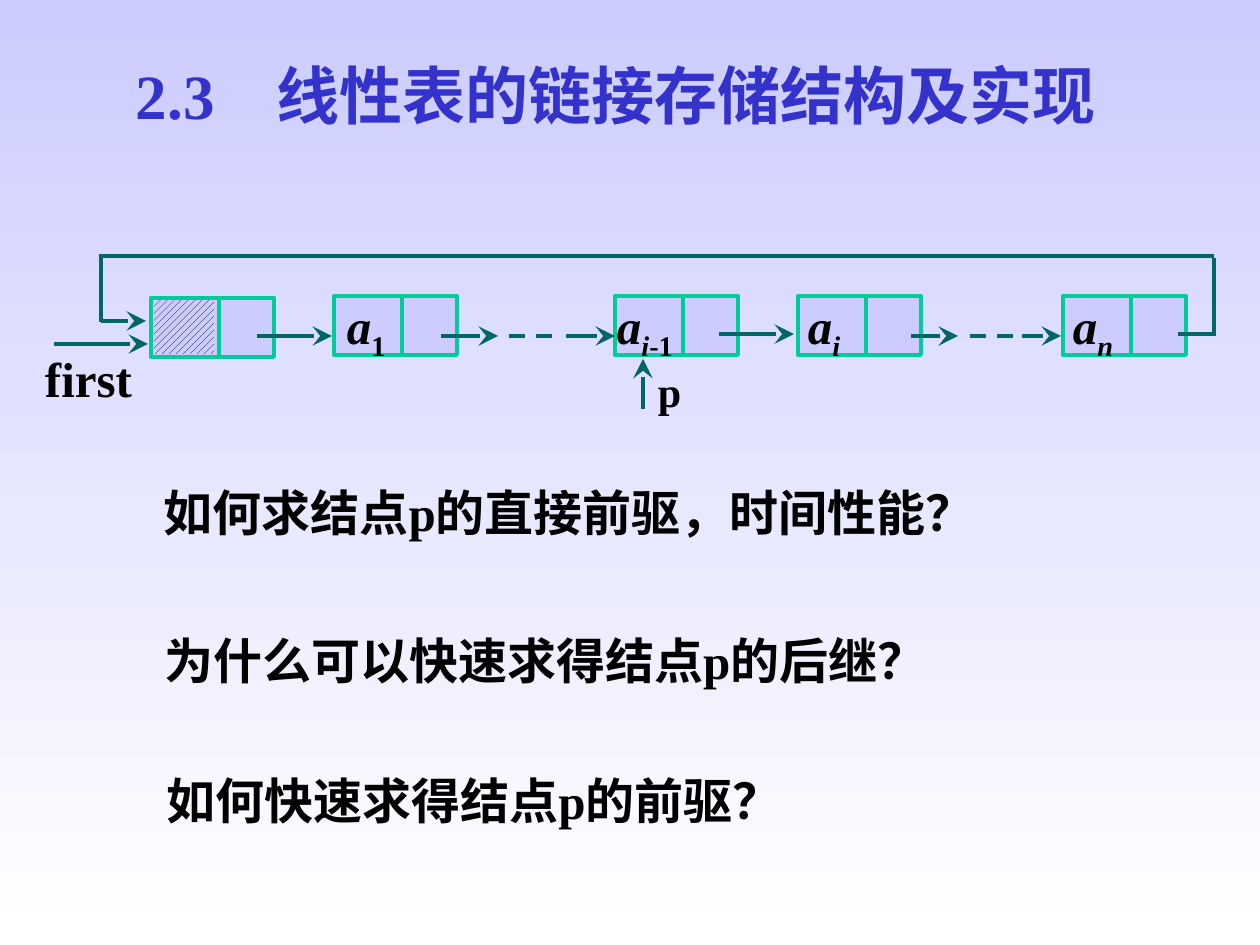
from lxml import etree
from pptx import Presentation
from pptx import util as u
from pptx.dml.color import RGBColor
from pptx.enum import dml, shapes, text
from pptx.oxml.ns import qn

SCALE = u.Inches(1) / 126
FONT = "Times New Roman"
BLACK, TITLE_BLUE = "000000", "3333CC"
LAVENDER, WHITE = "CCCCFF", "FFFFFF"
NODE_GREEN, ARROW_GREEN = "00CC99", "006666"


def px(*lengths):
    return [u.Emu(round(length * SCALE)) for length in lengths]


def color(value):
    return RGBColor.from_string(value)


def add_run(paragraph, content, size=28, ink=BLACK, italic=False, subscript=False):
    run = paragraph.add_run()
    run.text = content
    font = run.font
    font.name, font.size, font.bold, font.italic = FONT, u.Pt(size), True, italic
    font.color.rgb = color(ink)
    if subscript:
        run._r.get_or_add_rPr().set("baseline", "-25000")


class ListDiagram:
    """Holds the slide and the look shared by the linked-list parts."""

    line_width = u.Pt(2.25)
    node_width, node_height, data_width = 123, 59, 68

    def __init__(self, presentation):
        self.slide = presentation.slides.add_slide(presentation.slide_layouts[6])

    def background(self, top, bottom):
        fill = self.slide.background.fill
        fill.gradient()
        fill.gradient_angle = 270
        for stop, position, value in zip(fill.gradient_stops, (0, 1), (top, bottom)):
            stop.position = position
            stop.color.rgb = color(value)

    def set_frame(self, shape, insets, anchor=text.MSO_ANCHOR.TOP):
        frame = shape.text_frame
        frame.word_wrap = True
        frame.vertical_anchor = anchor
        (frame.margin_left, frame.margin_top,
         frame.margin_right, frame.margin_bottom) = px(*insets)
        paragraph = frame.paragraphs[0]
        paragraph.alignment = text.PP_ALIGN.LEFT
        return paragraph

    def label(self, content, box, insets=(13, 6, 13, 6),
              anchor=text.MSO_ANCHOR.TOP, tab=None, **style):
        shape = self.slide.shapes.add_textbox(*px(*box))
        paragraph = self.set_frame(shape, insets, anchor)
        if tab:
            tabs = etree.SubElement(paragraph._p.get_or_add_pPr(), qn("a:tabLst"))
            etree.SubElement(tabs, qn("a:tab"), pos=str(px(tab)[0]), algn="l")
        add_run(paragraph, content, **style)

    def rectangle(self, *box):
        shape = self.slide.shapes.add_shape(shapes.MSO_SHAPE.RECTANGLE, *px(*box))
        shape.shadow.inherit = False
        return shape

    def line(self, x1, y1, x2, y2, ink=ARROW_GREEN, arrow=False, dashed=False):
        connector = self.slide.shapes.add_connector(
            shapes.MSO_CONNECTOR.STRAIGHT, *px(x1, y1, x2, y2))
        connector.line.color.rgb = color(ink)
        connector.line.width = self.line_width
        if dashed:
            connector.line.dash_style = dml.MSO_LINE.DASH
        if arrow:
            etree.SubElement(connector.line._get_or_add_ln(), qn("a:tailEnd"),
                             type="stealth", w="lg", len="lg")
        etree.SubElement(connector._element.spPr, qn("a:effectLst"))

    def node(self, left, top=296, runs=(), inset=10):
        """Draw a data cell and a pointer cell; runs are (text, format) pairs."""
        box = self.rectangle(left, top, self.node_width, self.node_height)
        box.fill.solid()
        box.fill.fore_color.rgb = color(LAVENDER)
        box.line.color.rgb = color(NODE_GREEN)
        box.line.width = self.line_width
        if runs:
            paragraph = self.set_frame(box, (inset, 0, 0, 10))
            paragraph.line_spacing = 0.9
            for content, style in runs:
                add_run(paragraph, content, **style)
        divider = left + self.data_width
        self.line(divider, top, divider, top + self.node_height, NODE_GREEN)

    def hatch(self, *box):
        shape = self.rectangle(*box)
        shape.fill.patterned()
        shape.fill.pattern = dml.MSO_PATTERN.WIDE_UPWARD_DIAGONAL
        shape.fill.fore_color.rgb = color(BLACK)
        shape.fill.back_color.rgb = color(LAVENDER)
        shape.line.fill.background()


def main():
    presentation = Presentation()
    presentation.slide_width, presentation.slide_height = px(1260, 945)
    diagram = ListDiagram(presentation)
    diagram.background(LAVENDER, WHITE)

    diagram.label("2.3\t线性表的链接存储结构及实现", (123, 50, 998, 88),
                  anchor=text.MSO_ANCHOR.MIDDLE, tab=141, size=36, ink=TITLE_BLUE)

    italic = dict(italic=True)
    upright_index = dict(subscript=True)
    italic_index = dict(italic=True, subscript=True)
    diagram.node(151, top=298)
    diagram.hatch(154, 300, 60, 54)
    nodes = [
        (334, 13, [("1", upright_index)]),
        (615, 2, [("i", italic_index), ("-1", upright_index)]),
        (798, 10, [("i", italic_index)]),
        (1063, 10, [("n", italic_index)]),
    ]
    for left, inset, index in nodes:
        diagram.node(left, runs=[("a", italic), *index], inset=inset)

    link_y = 336
    for start, end in [(257, 332), (441, 498), (566, 615), (911, 958), (1022, 1061)]:
        diagram.line(start, link_y, end, link_y, arrow=True)
    diagram.line(719, 334, 794, 334, arrow=True)
    for start, end in [(509, 552), (970, 1014)]:
        diagram.line(start, link_y, end, link_y, dashed=True)

    # The last node points back to the head node.
    loop_left, loop_right, loop_top = 101, 1214, 256
    diagram.line(1178, 334, loop_right, 334)
    diagram.line(loop_right, loop_top + 2, loop_right, link_y)
    diagram.line(loop_left - 2, loop_top, loop_right, loop_top)
    diagram.line(loop_left, loop_top - 2, loop_left, 322)
    diagram.line(loop_left, 321, 146, 321, arrow=True)

    diagram.line(54, 344, 148, 344, arrow=True)
    diagram.label("first", (45, 349, 105, 64), insets=(0, 0, 0, 5))
    diagram.line(643, 409, 643, 359, arrow=True)
    diagram.label("p", (658, 366, 24, 50), insets=(0, 0, 0, 0), size=24)

    questions = [
        (151, 476, "如何求结点p的直接前驱，时间性能？"),
        (152, 624, "为什么可以快速求得结点p的后继？"),
        (154, 764, "如何快速求得结点p的前驱？"),
    ]
    for left, top, question in questions:
        diagram.label(question, (left, top, 906, 72))

    presentation.save("out.pptx")


if __name__ == "__main__":
    main()
